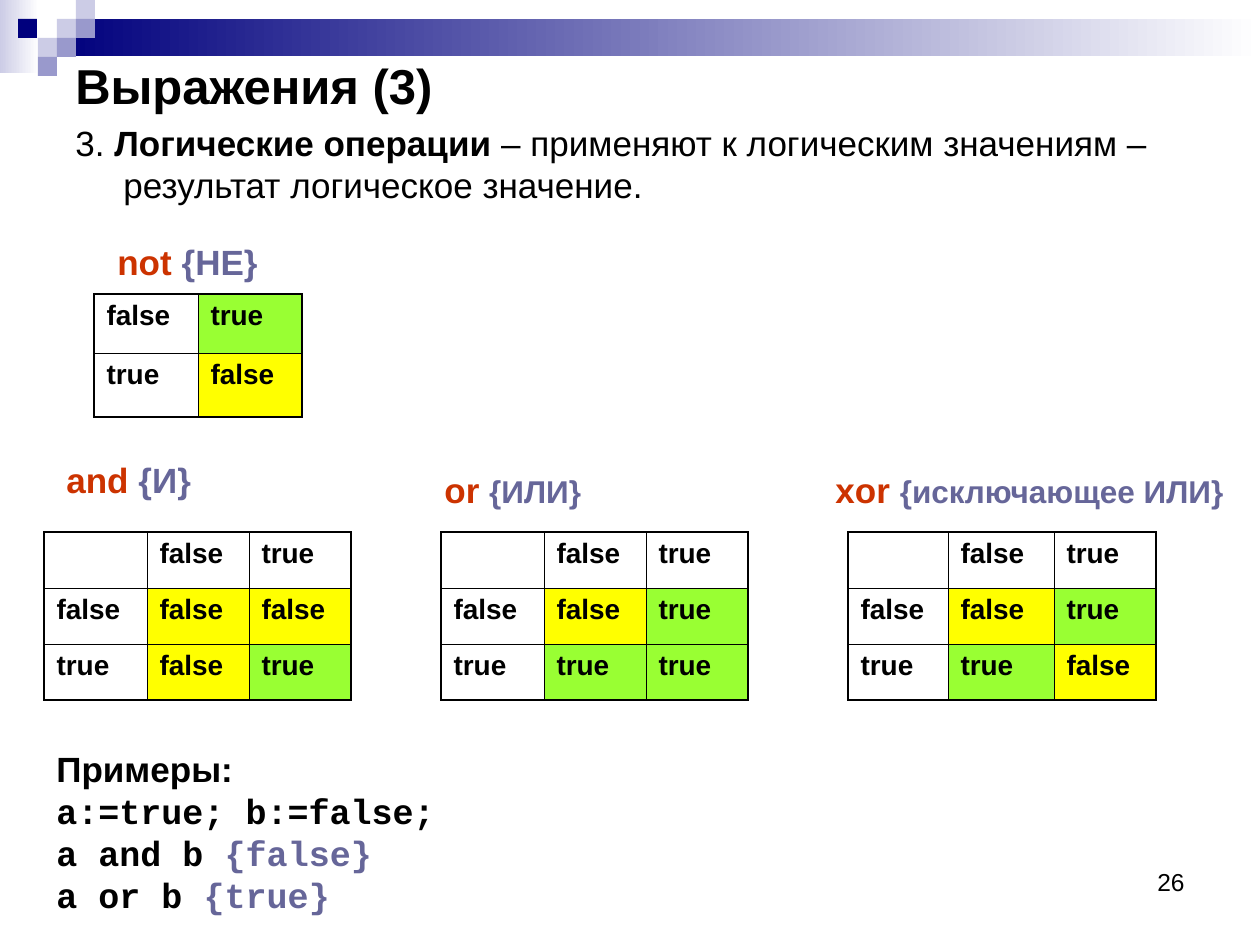
from dataclasses import dataclass

from lxml.etree import SubElement
from pptx import Presentation
from pptx.dml.color import RGBColor
from pptx.enum.shapes import MSO_SHAPE
from pptx.enum.text import MSO_ANCHOR, PP_ALIGN
from pptx.oxml.ns import qn
from pptx.util import Emu, Pt


@dataclass(frozen=True)
class Theme:
    """Colours, fonts and type sizes of the slide."""
    navy: str = "00007D"
    violet: str = "9999CC"
    pale: str = "CCCCE6"
    white: str = "FFFFFF"
    ink: str = "000000"
    keyword: str = "CC3300"
    comment: str = "666699"
    true_fill: str = "99FF33"
    false_fill: str = "FFFF00"
    sans: str = "Arial"
    mono: str = "Courier New"
    title: int = 28
    body: int = 20
    gloss: int = 18
    cell: int = 16
    number: int = 14
    outer: float = 1.08
    inner: float = 0.45


T = Theme()
EMU_PER_PX = 914400 / 126


def px(n):
    """Turn px into EMU."""
    return Emu(round(n * EMU_PER_PX))


def rgb(color):
    """Turn a hex string into a colour."""
    return RGBColor.from_string(color)


def add_run(p, text, size=T.body, color=T.ink, bold=True, font=T.sans):
    """Add one formatted run to a paragraph."""
    r = p.add_run()
    r.text = text
    r.font.name = font
    r.font.size = Pt(size)
    r.font.bold = bold
    r.font.color.rgb = rgb(color)


def add_text(s, box, *lines, anchor=MSO_ANCHOR.TOP, align=PP_ALIGN.LEFT, hang=0):
    """Add a text box whose lines are lists of (text, format) runs."""
    tf = s.shapes.add_textbox(*map(px, box)).text_frame
    tf.word_wrap = True
    tf.vertical_anchor = anchor
    for i, line in enumerate(lines):
        p = tf.add_paragraph() if i else tf.paragraphs[0]
        p.alignment = align
        if hang:
            pPr = p._p.get_or_add_pPr()
            pPr.set("marL", str(px(hang)))
            pPr.set("indent", str(-px(hang)))
        for text, style in line:
            add_run(p, text, **style)


def add_label(s, box, operator, gloss, size=T.body):
    """Add an operator name with its meaning in braces."""
    add_text(s, box, [(operator + " ", {"color": T.keyword}),
                      (gloss, {"color": T.comment, "size": size})])


def add_rect(s, box, color, fade=False):
    """Add a plain rectangle, optionally fading to white on the right."""
    sp = s.shapes.add_shape(MSO_SHAPE.RECTANGLE, *map(px, box))
    sp.shadow.inherit = False
    sp.line.fill.background()
    if fade:
        sp.fill.gradient()
        sp.fill.gradient_angle = 0
        for stop, c in zip(sp.fill.gradient_stops, (color, T.white)):
            stop.color.rgb = rgb(c)
    else:
        sp.fill.solid()
        sp.fill.fore_color.rgb = rgb(color)


def add_header(s):
    """Add the fading bands and the stepped squares."""
    add_rect(s, (0, 0, 39, 73), T.pale, fade=True)
    add_rect(s, (57, 19, 1203, 37), T.navy, fade=True)
    squares = [(57, 19, T.pale), (76, 0, T.pale), (76, 19, T.violet),
               (38, 38, T.pale), (18, 19, T.navy), (57, 38, T.violet),
               (38, 57, T.violet)]
    for x, y, color in squares:
        add_rect(s, (x, y, 19, 19), color)


def set_borders(cell, edges):
    """Draw the four cell borders, heavier on the table's edges."""
    tcPr = cell._tc.get_or_add_tcPr()
    for i, (side, is_edge) in enumerate(zip("LRTB", edges)):
        width = Pt(T.outer if is_edge else T.inner)
        ln = SubElement(tcPr, qn(f"a:ln{side}"), w=str(width))
        fill = SubElement(ln, qn("a:solidFill"))
        SubElement(fill, qn("a:srgbClr"), val=T.ink)
        tcPr.insert(i, ln)


def add_truth_table(s, x, y, widths, heights, rows, first):
    """Add a truth table; cells from (first row, first column) on are results."""
    n_rows, n_cols = len(heights), len(widths)
    shape = s.shapes.add_table(n_rows, n_cols, px(x), px(y),
                               px(sum(widths)), px(sum(heights)))
    table = shape.table
    table.first_row = table.horz_banding = False
    for column, w in zip(table.columns, widths):
        column.width = px(w)
    for row, h in zip(table.rows, heights):
        row.height = px(h)
    for i, values in enumerate(rows):
        for j, value in enumerate(values):
            cell = table.cell(i, j)
            if i >= first[0] and j >= first[1]:
                cell.fill.solid()
                color = T.true_fill if value == "true" else T.false_fill
                cell.fill.fore_color.rgb = rgb(color)
            else:
                cell.fill.background()
            if value:
                add_run(cell.text_frame.paragraphs[0], value, T.cell)
            set_borders(cell, (j == 0, j == n_cols - 1, i == 0, i == n_rows - 1))


def add_binary_table(s, x, widths, operation):
    """Add the truth table of a two-operand operation."""
    names = ["false", "true"]
    rows = [["", *names]]
    for a in (0, 1):
        rows.append([names[a], *(names[operation(a, b)] for b in (0, 1))])
    add_truth_table(s, x, 532, widths, [56] * 3, rows, (1, 1))


def main():
    """Build the slide and save it."""
    prs = Presentation()
    prs.slide_width, prs.slide_height = px(1260), px(945)
    s = prs.slides.add_slide(prs.slide_layouts[6])
    add_header(s)
    add_text(s, (903, 861, 294, 65),
             [("26", {"size": T.number, "bold": False})], align=PP_ALIGN.RIGHT)
    add_text(s, (63, 63, 1134, 43), [("Выражения (3)", {"size": T.title})],
             anchor=MSO_ANCHOR.MIDDLE)
    add_text(s, (63, 115, 1197, 110),
             [("3. ", {"bold": False}), ("Логические операции", {}),
              (" – применяют к логическим значениям – результат логическое значение.",
               {"bold": False})], hang=48)

    add_label(s, (105, 234, 189, 55), "not", "{НЕ}")
    add_label(s, (54, 452, 179, 55), "and", "{И}")
    add_label(s, (432, 462, 169, 55), "or", "{ИЛИ}", T.gloss)
    add_label(s, (823, 462, 437, 55), "xor", "{исключающее ИЛИ}", T.gloss)

    add_truth_table(s, 94, 294, [104, 104], [59, 64],
                    [["false", "true"], ["true", "false"]], (0, 1))
    add_binary_table(s, 44, [103, 102, 102], lambda a, b: a & b)
    add_binary_table(s, 441, [103, 102, 102], lambda a, b: a | b)
    add_binary_table(s, 848, [100, 106, 102], lambda a, b: a ^ b)

    code = {"font": T.mono}
    remark = {"font": T.mono, "color": T.comment}
    add_text(s, (44, 741, 1160, 181),
             [("Примеры:", {})],
             [("a:=true; b:=false;", code)],
             [("a and b ", code), ("{false}", remark)],
             [("a or b ", code), ("{true}", remark)])
    prs.save("out.pptx")


if __name__ == "__main__":
    main()
